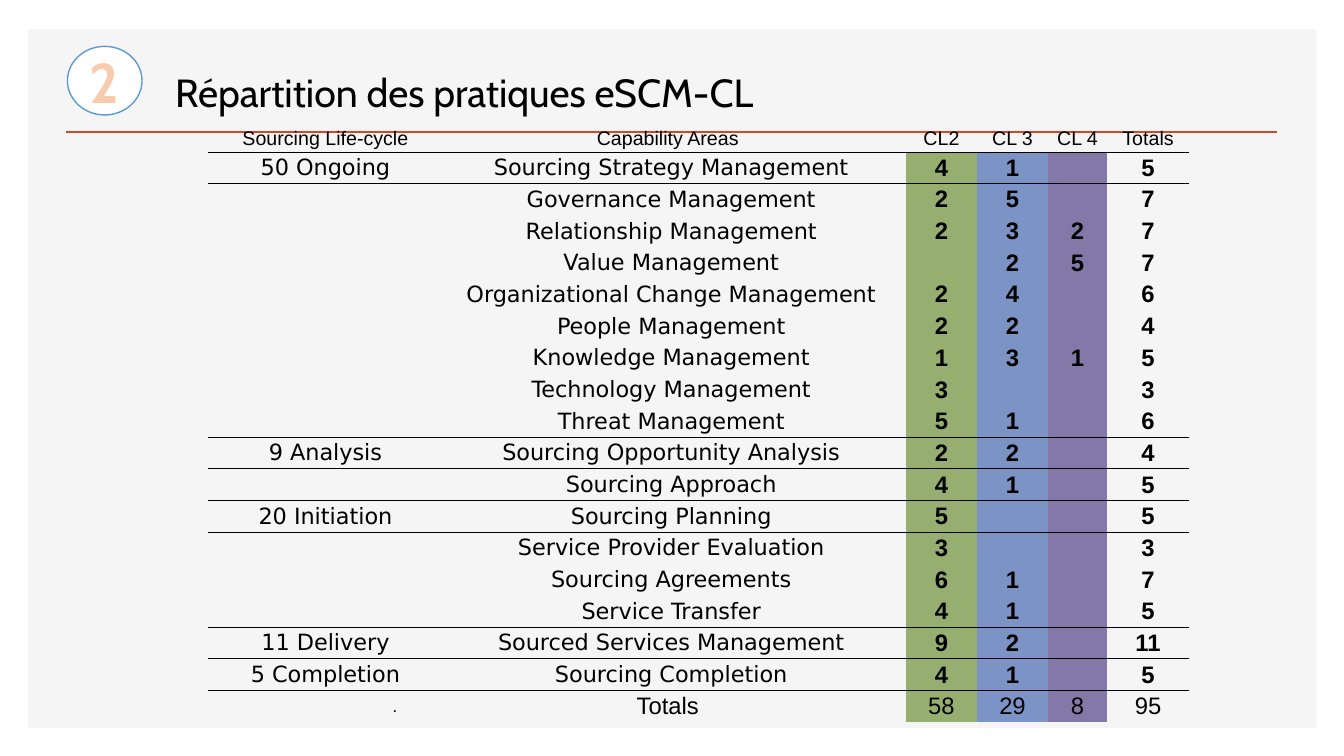
from lxml import etree
from pptx import Presentation
from pptx.dml.color import RGBColor
from pptx.enum.shapes import MSO_CONNECTOR, MSO_SHAPE
from pptx.enum.text import MSO_ANCHOR as Anchor, PP_ALIGN as Align
from pptx.oxml.ns import qn
from pptx.util import Pt

TITLE = "Répartition des pratiques eSCM-CL"
SECTION_NUMBER = "2"
HEADER = ["Sourcing Life-cycle", "Capability Areas", "CL2", "CL 3", "CL 4", "Totals"]
PHASES = [
    ("50 Ongoing", [
        ("Sourcing Strategy Management", 4, 1, "", 5),
        ("Governance Management", 2, 5, "", 7),
        ("Relationship Management", 2, 3, 2, 7),
        ("Value Management", "", 2, 5, 7),
        ("Organizational Change Management", 2, 4, "", 6),
        ("People Management", 2, 2, "", 4),
        ("Knowledge Management", 1, 3, 1, 5),
        ("Technology Management", 3, "", "", 3),
        ("Threat Management", 5, 1, "", 6),
    ]),
    ("9 Analysis", [
        ("Sourcing Opportunity Analysis", 2, 2, "", 4),
        ("Sourcing Approach", 4, 1, "", 5),
    ]),
    ("20 Initiation", [
        ("Sourcing Planning", 5, "", "", 5),
        ("Service Provider Evaluation", 3, "", "", 3),
        ("Sourcing Agreements", 6, 1, "", 7),
        ("Service Transfer", 4, 1, "", 5),
    ]),
    ("11 Delivery", [("Sourced Services Management", 9, 2, "", 11)]),
    ("5 Completion", [("Sourcing Completion", 4, 1, "", 5)]),
]
TOTALS = [".", "Totals", 58, 29, 8, 95]

COLORS = {
    "panel": "F5F5F5", "rule": "D24726", "text": "000000", "white": "FFFFFF",
    "badge_line": "5B9BD5", "badge_text": "F8CBAD",
    "CL2": "96AE6F", "CL 3": "7C93C5", "CL 4": "8478A8",
}
COLUMN_WIDTHS = [158.4, 340.6, 50.4, 51.1, 41.8, 59]
HEADER_HEIGHT, ROW_HEIGHT = 18.7, 22.64
PHASE_INDENT, AREA_INDENT, DOT_INDENT = 10, 5, 23
NO_STYLE_NO_GRID = "{2D5ABB26-0587-4C30-8999-92F81FD0307C}"


def color(key):
    return RGBColor.from_string(COLORS[key])


def write(frame, text, size, font, bold=False, ink="text", align=Align.CENTER):
    frame.text = str(text)
    paragraph = frame.paragraphs[0]
    paragraph.alignment = align
    for run in paragraph.runs:
        run.font.size, run.font.name, run.font.bold = Pt(size), font, bold
        run.font.color.rgb = color(ink)


def add_panel_shape(slide, preset, left, top, width, height, fill):
    shape = slide.shapes.add_shape(preset, Pt(left), Pt(top), Pt(width), Pt(height))
    shape.shadow.inherit = False
    shape.fill.solid()
    shape.fill.fore_color.rgb = color(fill)
    shape.line.fill.background()
    return shape


def draw_border(cell, tag):
    """Put a 1 pt line on one cell side; add the bottom (a:lnB) before the top (a:lnT)."""
    border = etree.Element(qn(tag), w=str(Pt(1)))
    fill = etree.SubElement(border, qn("a:solidFill"))
    etree.SubElement(fill, qn("a:srgbClr"), val=COLORS["text"])
    cell._tc.get_or_add_tcPr().insert(0, border)


def text_style(row, column, last_row):
    if row == 0:
        return 14, "Arial", False
    if row == last_row:
        return (12 if column == 0 else 17), "Arial", False
    return (16, "DejaVu Sans", False) if column < 2 else (17, "Arial", True)


def add_practices_table(slide):
    rows, ruled = [HEADER], {0}
    for phase, areas in PHASES:
        for index, area in enumerate(areas):
            rows.append([phase if index == 0 else "", *area])
        ruled.add(len(rows) - 1)
    rows.append(TOTALS)
    last_row = len(rows) - 1

    height = HEADER_HEIGHT + last_row * ROW_HEIGHT
    table = slide.shapes.add_table(len(rows), len(HEADER), Pt(148.3), Pt(90),
                                   Pt(sum(COLUMN_WIDTHS)), Pt(height)).table
    table.first_row = table.horz_banding = False
    table._tbl.tblPr.find(qn("a:tableStyleId")).text = NO_STYLE_NO_GRID
    for column, width in enumerate(COLUMN_WIDTHS):
        table.columns[column].width = Pt(width)

    for r, values in enumerate(rows):
        table.rows[r].height = Pt(ROW_HEIGHT if r else HEADER_HEIGHT)
        for c, value in enumerate(values):
            cell = table.cell(r, c)
            cell.margin_left = cell.margin_right = cell.margin_top = cell.margin_bottom = 0
            cell.vertical_anchor = Anchor.MIDDLE
            write(cell.text_frame, value, *text_style(r, c, last_row))
            if c == 0:
                cell.margin_left = Pt(PHASE_INDENT)
            elif c == 1 and 0 < r < last_row:
                cell.margin_left = Pt(AREA_INDENT)
            if r > 0 and HEADER[c] in COLORS:
                cell.fill.solid()
                cell.fill.fore_color.rgb = color(HEADER[c])
            else:
                cell.fill.background()
            if r in ruled:
                draw_border(cell, "a:lnB")
            if r - 1 in ruled:
                draw_border(cell, "a:lnT")

    dot = table.cell(last_row, 0)
    dot.margin_right = Pt(DOT_INDENT)
    dot.text_frame.paragraphs[0].alignment = Align.RIGHT


def main():
    prs = Presentation()
    prs.slide_width, prs.slide_height = Pt(960), Pt(540)
    slide = prs.slides.add_slide(prs.slide_layouts[6])

    add_panel_shape(slide, MSO_SHAPE.RECTANGLE, 20.2, 20.9, 920.2, 499, "panel")

    rule = slide.shapes.add_connector(MSO_CONNECTOR.STRAIGHT,
                                      Pt(47.5), Pt(94.3), Pt(912.2), Pt(94.3))
    rule.line.color.rgb = color("rule")
    rule.line.width = Pt(2)
    etree.SubElement(rule._element.spPr, qn("a:effectLst"))

    title = slide.shapes.add_textbox(Pt(118.1), Pt(35.3), Pt(464.4), Pt(50.4)).text_frame
    title.word_wrap = True
    title.vertical_anchor = Anchor.BOTTOM
    write(title, TITLE, 28, "Cabin", align=Align.LEFT)

    add_practices_table(slide)

    badge = add_panel_shape(slide, MSO_SHAPE.OVAL, 48.2, 33.1, 53.3, 49, "white")
    badge.line.color.rgb = color("badge_line")
    badge.line.width = Pt(1)
    badge.text_frame.vertical_anchor = Anchor.MIDDLE
    write(badge.text_frame, SECTION_NUMBER, 40, "Cabin", bold=True, ink="badge_text")

    prs.save("out.pptx")


if __name__ == "__main__":
    main()
